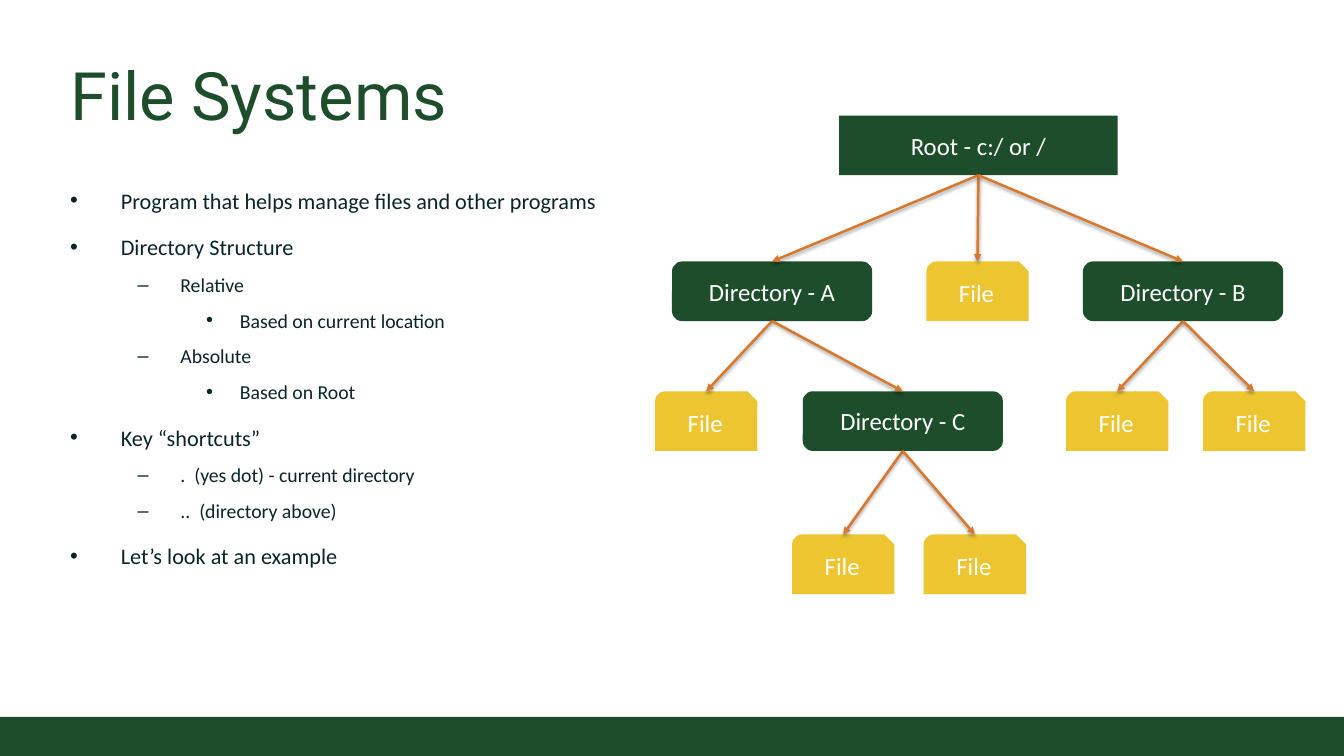
import pptx
import pptx.util
import pptx.dml.color
import pptx.enum.shapes
import pptx.enum.text
import pptx.oxml
import pptx.oxml.ns

Inches, Pt = pptx.util.Inches, pptx.util.Pt
SHAPE = pptx.enum.shapes.MSO_SHAPE
ANCHOR = pptx.enum.text.MSO_ANCHOR
ALIGN = pptx.enum.text.PP_ALIGN

WIDTH, HEIGHT = 15.11, 8.5
GREEN, YELLOW, ORANGE, INK, WHITE = "1E4D2B", "ECC530", "D9782C", "092529", "FFFFFF"

# Outline levels: bullet, left indent, hanging indent, text size, space before
LEVELS = [("•", 0.57, 0.57, 18, 6), ("–", 1.24, 0.48, 16, 0), ("•", 1.91, 0.38, 16, 0)]
OUTLINE = [
    (0, "Program that helps manage files and other programs"),
    (0, "Directory Structure"),
    (1, "Relative"),
    (2, "Based on current location"),
    (1, "Absolute"),
    (2, "Based on Root"),
    (0, "Key “shortcuts”"),
    (1, ".  (yes dot) - current directory"),
    (1, "..  (directory above)"),
    (0, "Let’s look at an example"),
]

# Tree nodes: kind, label, centre from the left of the tree, children
KINDS = {
    "root": (SHAPE.RECTANGLE, 3.13, GREEN),
    "directory": (SHAPE.ROUNDED_RECTANGLE, 2.25, GREEN),
    "file": (SHAPE.SNIP_ROUND_RECTANGLE, 1.15, YELLOW),
}
NODE_HEIGHT = 0.67
ROW_TOPS = [0, 1.64, 3.1, 4.71]
TREE = ("root", "Root - c:/ or /", 3.64, [
    ("directory", "Directory - A", 1.32, [
        ("file", "File", 0.58, []),
        ("directory", "Directory - C", 2.79, [
            ("file", "File", 2.12, []),
            ("file", "File", 3.6, []),
        ]),
    ]),
    ("file", "File", 3.63, []),
    ("directory", "Directory - B", 5.94, [
        ("file", "File", 5.2, []),
        ("file", "File", 6.74, []),
    ]),
])


def color(value):
    return pptx.dml.color.RGBColor.from_string(value)


def xml(tag, content="", attributes=""):
    namespace = pptx.oxml.ns.nsdecls("a")
    return pptx.oxml.parse_xml(f"<a:{tag} {namespace} {attributes}>{content}</a:{tag}>")


def set_frame(frame, anchor, side=0.1, edge=0.1):
    frame.word_wrap = True
    frame.vertical_anchor = anchor
    frame.margin_left = frame.margin_right = Inches(side)
    frame.margin_top = frame.margin_bottom = Inches(edge)


def add_span(para, text, size, ink, font="Calibri"):
    span = para.add_run()
    span.text = text
    span.font.name, span.font.size = font, Pt(size)
    span.font.color.rgb = color(ink)


def add_box(page, kind, box, fill):
    shape = page.shapes.add_shape(kind, *map(Inches, box))
    shape.shadow.inherit = False
    shape.fill.solid()
    shape.fill.fore_color.rgb = color(fill)
    shape.line.fill.background()
    return shape


def place_title(page, box):
    title = page.shapes.title
    title.left, title.top, title.width, title.height = map(Inches, box)
    set_frame(title.text_frame, ANCHOR.BOTTOM)
    para = title.text_frame.paragraphs[0]
    para.alignment = ALIGN.LEFT
    add_span(para, "File Systems", 54, GREEN, "Roboto")


def add_outline(page, box):
    frame = page.shapes.add_textbox(*map(Inches, box)).text_frame
    set_frame(frame, ANCHOR.TOP)
    for index, (level, text) in enumerate(OUTLINE):
        bullet, indent, hanging, size, before = LEVELS[level]
        para = frame.add_paragraph() if index else frame.paragraphs[0]
        para.level = level
        para.line_spacing, para.space_after = 1.2, Pt(6)
        if index and before:
            para.space_before = Pt(before)
        properties = para._p.get_or_add_pPr()
        properties.set("marL", str(Inches(indent)))
        properties.set("indent", str(-Inches(hanging)))
        properties.append(xml("buFont", attributes='typeface="Arial"'))
        properties.append(xml("buChar", attributes=f'char="{bullet}"'))
        add_span(para, text, size, INK)


def add_arrow(page, parent, child, child_kind):
    """Join the bottom of the parent to the top of the child."""
    arrow = page.shapes.add_connector(
        pptx.enum.shapes.MSO_CONNECTOR.STRAIGHT,
        parent.left + parent.width // 2, parent.top + parent.height,
        child.left + child.width // 2, child.top)
    arrow.begin_connect(parent, 2)
    if child_kind == "directory":
        arrow.end_connect(child, 0)
    arrow.line.color.rgb, arrow.line.width = color(ORANGE), Pt(2)
    arrow.line._get_or_add_ln().append(xml("tailEnd", attributes='type="triangle"'))
    shadow = (f'<a:outerShdw blurRad="{Pt(3.1)}" dist="{Pt(1.6)}" dir="5400000" rotWithShape="0">'
              '<a:srgbClr val="000000"><a:alpha val="38000"/></a:srgbClr></a:outerShdw>')
    arrow._element.spPr.append(xml("effectLst", shadow))


def add_tree(page, left, top, node, row=0):
    """Add a node with everything below it; return its shape."""
    kind, label, centre, children = node
    preset, width, fill = KINDS[kind]
    box = (left + centre - width / 2, top + ROW_TOPS[row], width, NODE_HEIGHT)
    shape = add_box(page, preset, box, fill)
    set_frame(shape.text_frame, ANCHOR.MIDDLE, 0.3, 0.2)
    para = shape.text_frame.paragraphs[0]
    para.alignment = ALIGN.CENTER
    add_span(para, label, 20, WHITE)
    for child in children:
        child_shape = add_tree(page, left, top, child, row + 1)
        add_arrow(page, shape, child_shape, child[0])
    return shape


def main():
    deck = pptx.Presentation()
    deck.slide_width, deck.slide_height = Inches(WIDTH), Inches(HEIGHT)
    page = deck.slides.add_slide(deck.slide_layouts[5])
    page.background.fill.solid()
    page.background.fill.fore_color.rgb = color(WHITE)

    # Footer band
    add_box(page, SHAPE.RECTANGLE, (0, HEIGHT - 0.44, WIDTH, 0.44), GREEN)
    # Title and outline
    place_title(page, (0.69, 0.49, 13.74, 1.11))
    add_outline(page, (0.69, 1.94, 7.44, 5.89))
    # Directory tree
    add_tree(page, 7.36, 1.3, TREE)

    deck.save("out.pptx")


if __name__ == "__main__":
    main()
